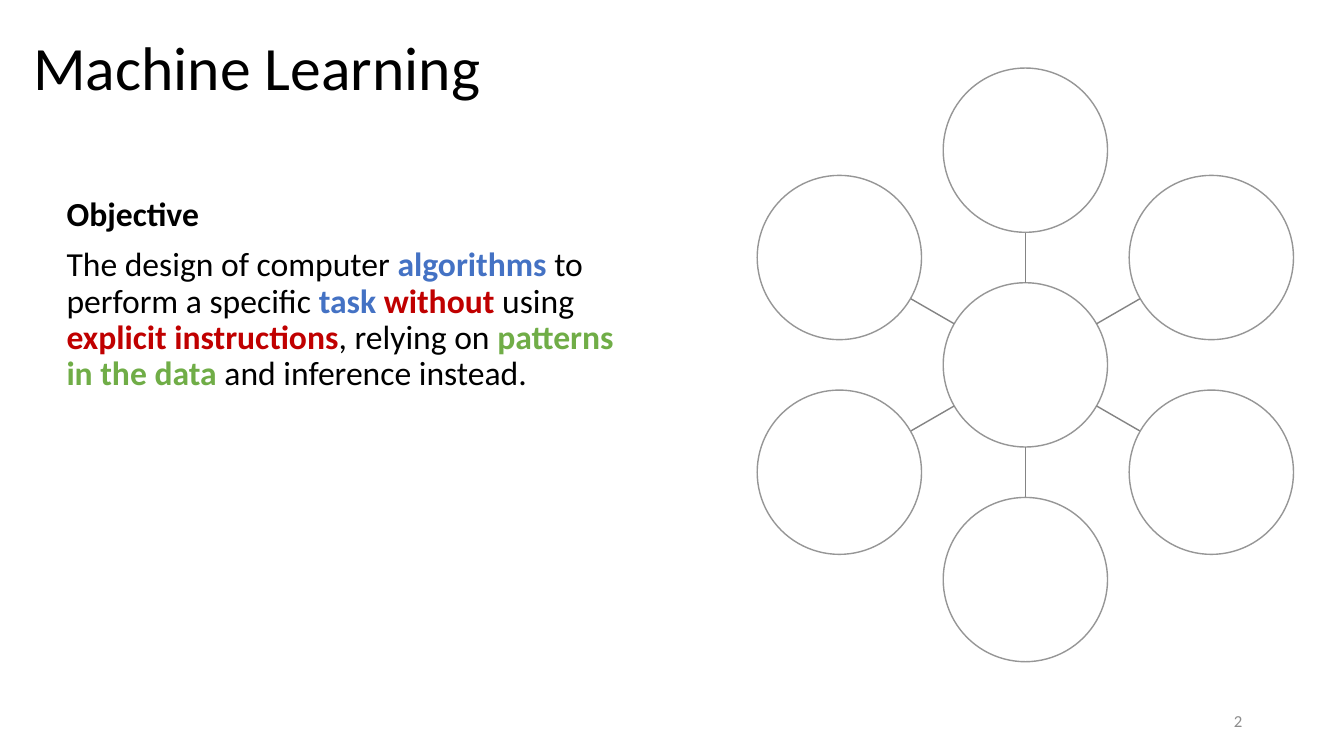
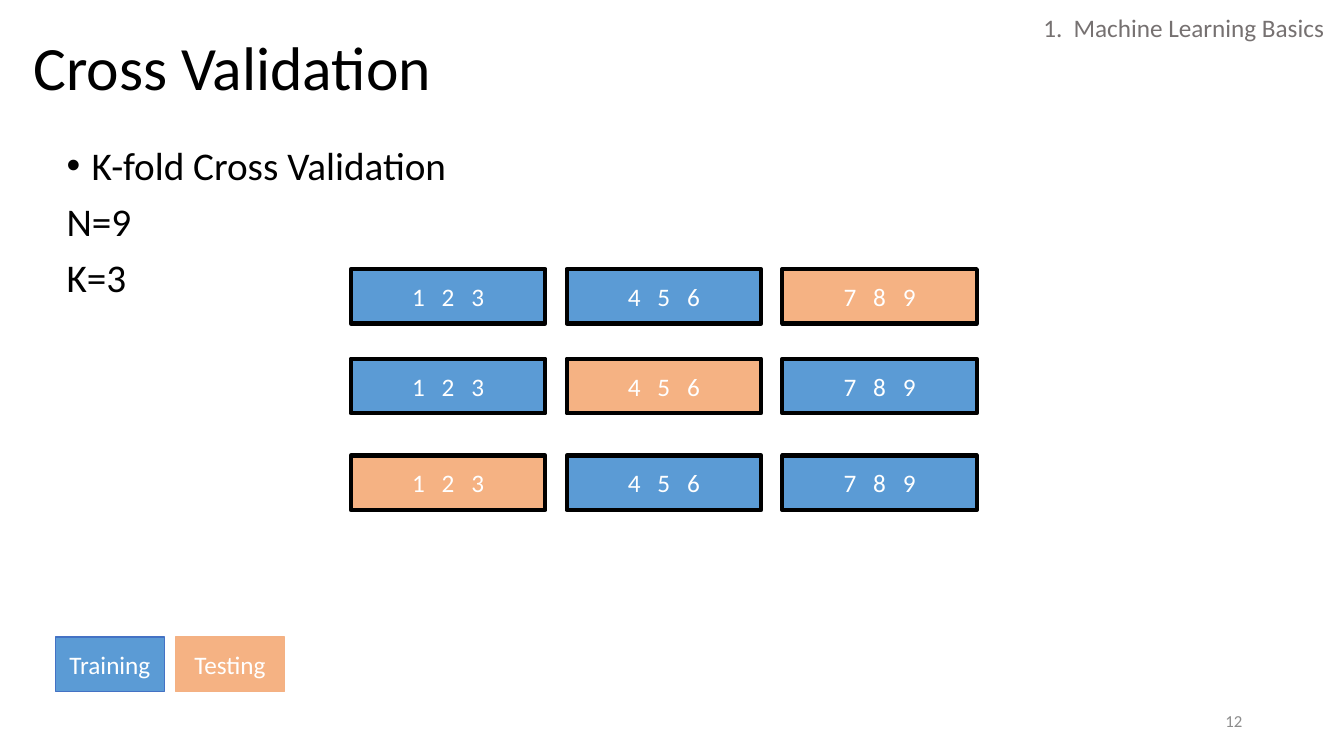
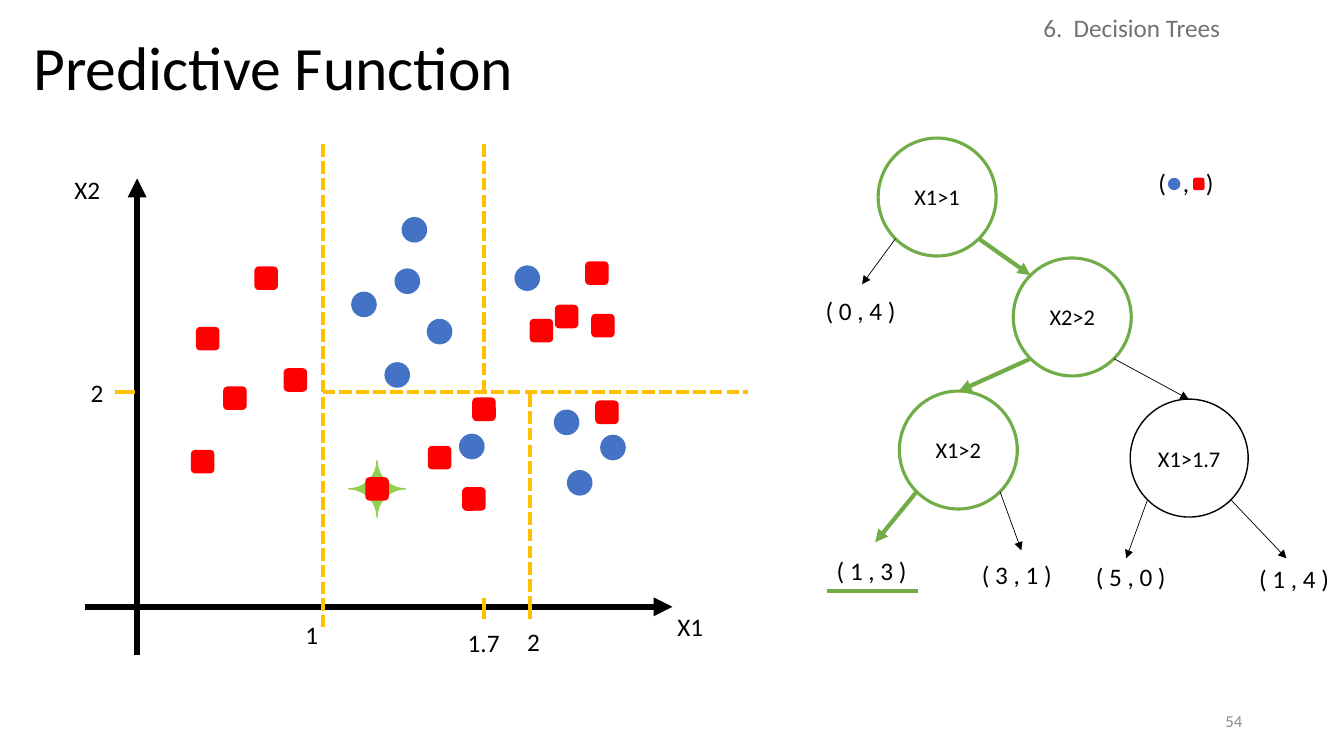
from dataclasses import dataclass
from math import cos, radians, sin

from pptx import Presentation
from pptx.dml.color import RGBColor
from pptx.enum.dml import MSO_LINE
from pptx.enum.shapes import MSO_CONNECTOR, MSO_SHAPE
from pptx.enum.text import MSO_ANCHOR, MSO_AUTO_SIZE, PP_ALIGN
from pptx.oxml.ns import qn
from pptx.oxml.xmlchemy import OxmlElement
from pptx.util import Pt

PX = 9144


@dataclass(frozen=True)
class Theme:
    font: str = "Calibri"
    black: str = "000000"
    white: str = "FFFFFF"
    blue: str = "4472C4"
    crimson: str = "C00000"
    green: str = "70AD47"
    training: str = "5B9BD5"
    testing: str = "F5B283"
    testing_edge: str = "F4B183"
    red: str = "FF0000"
    lime: str = "92D050"
    amber: str = "FFC000"
    ring: str = "969696"
    spoke: str = "848484"
    number: str = "8C8C8C"
    section: str = "767171"
    title_size: int = 44
    list_size: int = 28
    prose_size: int = 24
    label_size: int = 18
    node_size: int = 16
    number_size: int = 12
    wide_gap: int = 400


T = Theme()
SLIDE_SIZE = (1333, 750)
TITLE_AREA = (23, -2, 1150, 145)
NUMBER_AREA = (942, 695, 300, 40)
SECTION_AREA = (1025, 7, 306, 40)
SECTION_TAB = 30

OBJECTIVE_AREA = (56, 191, 593, 425)
OBJECTIVE = [
    [("Objective", T.black, True)],
    [
        ("The design of computer ", T.black, False),
        ("algorithms", T.blue, True),
        (" to perform a specific ", T.black, False),
        ("task ", T.blue, True),
        ("without ", T.crimson, True),
        ("using ", T.black, False),
        ("explicit instructions", T.crimson, True),
        (", relying on ", T.black, False),
        ("patterns in the data ", T.green, True),
        ("and inference instead.", T.black, False),
    ],
]
HUB = (1017, 362)
RING_SIZE = 163
RING_DISTANCE = 213

K_FOLD_AREA = (56, 140, 611, 476)
K_FOLD = ["K-fold Cross Validation", "N=9", "K=3"]
FOLDS = ["1 2 3", "4 5 6", "7 8 9"]
FOLD_LEFT, FOLD_PITCH = 348, 214
FOLD_SIZE = (193, 54)
ROUNDS = [(267, 2), (356, 1), (452, 0)]
LEGEND = [("Training", 55, T.training, T.blue), ("Testing", 174, T.testing, T.testing_edge)]
LEGEND_TOP, LEGEND_SIZE = 632, (108, 54)

AXES = [((136, 650), (136, 177)), ((84, 602), (667, 602))]
SPLITS = [
    ((320, 143), (320, 622)),
    ((320, 389), (742, 389)),
    ((480, 143), (480, 392)),
    ((526, 391), (526, 602)),
]
TICKS = [((114, 389), (134, 389)), ((480, 614), (480, 593)), ((526, 614), (526, 593))]
PLOT_LABELS = [
    ("X1", 662, 602, 46), ("X2", 64, 168, 46), ("1", 293, 609, 33),
    ("2", 80, 369, 39), ("2", 513, 616, 33), ("1.7", 454, 617, 52),
]
STAR_AREA = (346, 457, 56, 56)
SQUARE_SIZE, DOT_SIZE = 22, 24
SQUARES = [
    (195, 325), (253, 265), (190, 447), (551, 303), (282, 366), (581, 260), (587, 312), (469, 395),
    (526, 317), (425, 443), (459, 484), (222, 384), (591, 398), (363, 474),
]
DOTS = [
    (399, 216), (349, 290), (392, 267), (456, 431), (382, 360), (550, 407), (596, 432), (563, 467),
    (511, 264), (424, 317),
]
NODE_SIZE = 117
NODES = {
    "X1>1": (871, 137, True),
    "X2>2": (1005, 256, True),
    "X1>2": (892, 388, True),
    "X1>1.7": (1121, 396, False),
}
LEFT, RIGHT = -1, 1
BRANCHES = [
    ("X1>1", RIGHT, (1022, 273), True),
    ("X2>2", LEFT, (951, 388), True),
    ("X2>2", RIGHT, (1179, 396), False),
    ("X1>1", LEFT, (855, 282), False),
    ("X1>2", LEFT, (868, 538), True),
    ("X1>2", RIGHT, (1013, 546), False),
    ("X1>1.7", LEFT, (1117, 554), False),
    ("X1>1.7", RIGHT, (1276, 554), False),
]
LEAVES = [
    ("( 0 , 4 )", 809, 288), ("( 1 , 3 )", 820, 546), ("( 3 , 1 )", 964, 550),
    ("( 1 , 4 )", 1239, 554), ("( 5 , 0 )", 1077, 552),
]
LEAF_WIDTH = 91
ANSWER_LINE = ((820, 586), (910, 586))
KEY_AREA = (1139, 161, 77, 40)
KEY_SQUARE = (1184, 177, 10, 11)
KEY_DOT = (1159, 177, 11, 11)


def emu(*lengths):
    return [round(length * PX) for length in lengths]


def rgb(color):
    return RGBColor.from_string(color)


def assign(target, **values):
    for key, value in values.items():
        setattr(target, key, value)


def place(box, area):
    assign(box, **dict(zip(("left", "top", "width", "height"), emu(*area))))


def write(paragraph, text, size, color, bold=False, gap=None):
    run = paragraph.add_run()
    run.text = text
    assign(run.font, name=T.font, size=Pt(size), bold=bold)
    run.font.color.rgb = rgb(color)
    if gap:
        run.font._element.set("spc", str(gap))


def add_label(slide, area, text, size=T.label_size, color=T.black, gap=None, **frame_values):
    label = slide.shapes.add_textbox(*emu(*area))
    assign(label.text_frame, **{"word_wrap": False, **frame_values})
    paragraph = label.text_frame.paragraphs[0]
    write(paragraph, text, size, color, gap=gap)
    return paragraph


def add_figure(slide, kind, area, fill, edge, weight=1, text=None, size=T.label_size,
               color=T.white, gap=None):
    figure = slide.shapes.add_shape(kind, *emu(*area))
    figure.shadow.inherit = False
    figure.fill.solid()
    figure.fill.fore_color.rgb = rgb(fill)
    figure.line.color.rgb = rgb(edge)
    figure.line.width = Pt(weight)
    if text:
        assign(figure.text_frame, word_wrap=False, vertical_anchor=MSO_ANCHOR.MIDDLE,
               margin_left=0, margin_right=0)
        paragraph = figure.text_frame.paragraphs[0]
        paragraph.alignment = PP_ALIGN.CENTER
        write(paragraph, text, size, color, gap=gap)
    return figure


def add_line(slide, start, end, color, weight, dashed=False, arrow=False):
    line = slide.shapes.add_connector(MSO_CONNECTOR.STRAIGHT, *emu(*start, *end))
    line.line.color.rgb = rgb(color)
    line.line.width = Pt(weight)
    if dashed:
        line.line.dash_style = MSO_LINE.SQUARE_DOT
    properties = line._element.spPr
    if arrow:
        tip = OxmlElement("a:tailEnd")
        tip.set("type", "triangle")
        properties.find(qn("a:ln")).append(tip)
    properties.append(OxmlElement("a:effectLst"))


def add_slide(deck, title, number, section=None, has_body=False):
    slide = deck.slides.add_slide(deck.slide_layouts[1 if has_body else 5])
    heading = slide.shapes.title
    place(heading, TITLE_AREA)
    assign(heading.text_frame, vertical_anchor=MSO_ANCHOR.MIDDLE, auto_size=MSO_AUTO_SIZE.NONE)
    paragraph = heading.text_frame.paragraphs[0]
    assign(paragraph, alignment=PP_ALIGN.LEFT, line_spacing=0.9)
    write(paragraph, title, T.title_size, T.black)
    page = add_label(slide, NUMBER_AREA, number, T.number_size, T.number,
                     word_wrap=True, vertical_anchor=MSO_ANCHOR.MIDDLE)
    page.alignment = PP_ALIGN.RIGHT
    if section:
        header = add_label(slide, SECTION_AREA, section, color=T.section, word_wrap=True)
        tabs = OxmlElement("a:tabLst")
        stop = OxmlElement("a:tab")
        stop.set("pos", str(SECTION_TAB * PX))
        stop.set("algn", "l")
        tabs.append(stop)
        header._element.get_or_add_pPr().append(tabs)
    return slide


def fill_body(slide, area, paragraphs, size, bulleted=()):
    body = slide.placeholders[1]
    place(body, area)
    frame = body.text_frame
    assign(frame, word_wrap=True, auto_size=MSO_AUTO_SIZE.NONE)
    for index, runs in enumerate(paragraphs):
        paragraph = frame.add_paragraph() if index else frame.paragraphs[0]
        properties = paragraph._element.get_or_add_pPr()
        indent = 25 * PX if index in bulleted else 0
        properties.set("marL", str(indent))
        properties.set("indent", str(-indent))
        bullet = OxmlElement("a:buChar" if indent else "a:buNone")
        if indent:
            bullet.set("char", "•")
        properties.append(bullet)
        assign(paragraph, line_spacing=0.9, space_before=Pt(10 if index else 0))
        for text, color, bold in runs:
            write(paragraph, text, size, color, bold)


def build_objective(deck):
    slide = add_slide(deck, "Machine Learning", "2", has_body=True)
    fill_body(slide, OBJECTIVE_AREA, OBJECTIVE, T.prose_size)
    radius = RING_SIZE / 2

    def around(distance, angle):
        return (HUB[0] + distance * sin(radians(angle)), HUB[1] - distance * cos(radians(angle)))

    def add_ring(center):
        area = (center[0] - radius, center[1] - radius, RING_SIZE, RING_SIZE)
        add_figure(slide, MSO_SHAPE.OVAL, area, T.white, T.ring)

    add_ring(HUB)
    for angle in range(0, 360, 60):
        add_line(slide, around(radius, angle), around(RING_DISTANCE - radius, angle), T.spoke, 1)
        add_ring(around(RING_DISTANCE, angle))


def build_cross_validation(deck):
    slide = add_slide(deck, "Cross Validation", "12", "1.\tMachine Learning Basics", True)
    fill_body(slide, K_FOLD_AREA, [[(line, T.black, False)] for line in K_FOLD],
              T.list_size, bulleted=(0,))
    for top, held_out in ROUNDS:
        for column, fold in enumerate(FOLDS):
            area = (FOLD_LEFT + column * FOLD_PITCH, top, *FOLD_SIZE)
            fill = T.testing if column == held_out else T.training
            add_figure(slide, MSO_SHAPE.RECTANGLE, area, fill, T.black, 3, fold, gap=T.wide_gap)
    for role, left, fill, edge in LEGEND:
        add_figure(slide, MSO_SHAPE.RECTANGLE, (left, LEGEND_TOP, *LEGEND_SIZE), fill, edge,
                   text=role)


def build_plot(slide):
    star = add_figure(slide, MSO_SHAPE.PLAQUE, STAR_AREA, T.lime, T.lime)
    star.adjustments[0] = 0.5
    for start, end in AXES:
        add_line(slide, start, end, T.black, 4.5, arrow=True)
    for start, end in SPLITS:
        add_line(slide, start, end, T.amber, 3, dashed=True)
    for start, end in TICKS:
        add_line(slide, start, end, T.amber, 3)
    for text, left, top, width in PLOT_LABELS:
        add_label(slide, (left, top, width, 40), text)
    for kind, size, color, corners in (
        (MSO_SHAPE.ROUNDED_RECTANGLE, SQUARE_SIZE, T.red, SQUARES),
        (MSO_SHAPE.OVAL, DOT_SIZE, T.blue, DOTS),
    ):
        for corner in corners:
            add_figure(slide, kind, (*corner, size, size), color, color)


def build_tree(slide):
    for rule, (left, top, chosen) in NODES.items():
        add_figure(slide, MSO_SHAPE.OVAL, (left, top, NODE_SIZE, NODE_SIZE), T.white,
                   T.green if chosen else T.black, 2.25 if chosen else 1,
                   rule, T.node_size, T.black)
    radius = NODE_SIZE / 2
    reach = radius * cos(radians(45))
    for rule, side, tip, chosen in BRANCHES:
        left, top, _ = NODES[rule]
        start = (left + radius + side * reach, top + radius + reach)
        add_line(slide, start, tip, T.green if chosen else T.black, 3 if chosen else 0.5,
                 arrow=True)
    for counts, left, top in LEAVES:
        add_label(slide, (left, top, LEAF_WIDTH, 40), counts)
    add_line(slide, *ANSWER_LINE, T.green, 3)
    add_label(slide, KEY_AREA, "( , )", gap=T.wide_gap)
    add_figure(slide, MSO_SHAPE.ROUNDED_RECTANGLE, KEY_SQUARE, T.red, T.red)
    add_figure(slide, MSO_SHAPE.OVAL, KEY_DOT, T.blue, T.blue)


def main():
    deck = Presentation()
    assign(deck, **dict(zip(("slide_width", "slide_height"), emu(*SLIDE_SIZE))))
    build_objective(deck)
    build_cross_validation(deck)
    prediction = add_slide(deck, "Predictive Function", "54", "6.\tDecision Trees")
    build_plot(prediction)
    build_tree(prediction)
    deck.save("out.pptx")


if __name__ == "__main__":
    main()
